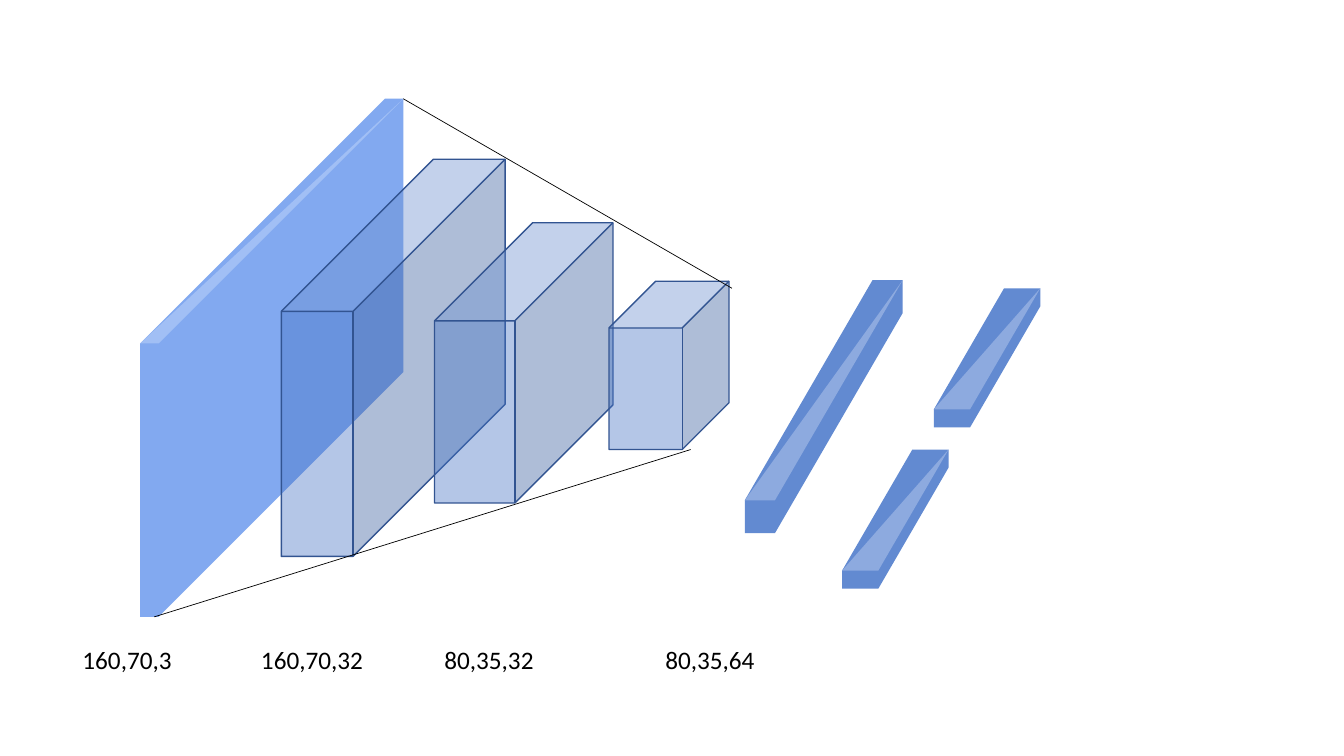
"""Build a slide showing convolution blocks that narrow into dense layers."""
from lxml.etree import SubElement
from pptx import Presentation
from pptx.dml.color import RGBColor
from pptx.enum.shapes import MSO_CONNECTOR, MSO_SHAPE
from pptx.oxml.ns import qn
from pptx.util import Inches, Pt

COLORS = {
    "block": "4472C4", "edge": "325491", "ink": "000000",
    "input": "82A9F0", "input_light": "A1BFF5",
    "dense": "628AD1", "dense_light": "8DAADF",
}
LABEL_TOP = 6.34
LABELS = [
    ("160,70,3", 0.72, 1.1),
    ("160,70,32", 2.49, 1.22),
    ("80,35,32", 4.31, 1.1),
    ("80,35,64", 6.5, 1.1),
]
INPUT_SLAB = (1.39, 0.98, 2.61, 5.14, 0.93)
CONV_BLOCKS = [
    (2.79, 1.58, 2.22, 3.94, 0.68),
    (4.31, 2.21, 1.77, 2.78, 0.55),
    (6.04, 2.79, 1.19, 1.67, 0.39),
]
DENSE_SLABS = [
    (6.82, 2.78, 2.7, 2.51, 0.87),
    (7.97, 4.46, 1.82, 1.38, 0.87),
    (8.88, 2.86, 1.82, 1.38, 0.87),
]
DENSE_SQUEEZE = 0.58
GUIDES = [(1.53, 6.12, 6.85, 4.46), (4, 0.98, 7.26, 2.86)]


def rgb(name):
    return RGBColor.from_string(COLORS[name])


def add_text(page, text, left, top, width, height=0.4, size=18, font="Calibri", color="ink"):
    box = page.shapes.add_textbox(*map(Inches, (left, top, width, height)))
    box.text_frame.word_wrap = False
    span = box.text_frame.paragraphs[0].add_run()
    span.text = text
    span.font.size = Pt(size)
    span.font.name = font
    span.font.color.rgb = rgb(color)


def add_block(page, left, top, width, height, depth):
    block = page.shapes.add_shape(MSO_SHAPE.CUBE, *map(Inches, (left, top, width, height)))
    block.adjustments[0] = depth
    block.shadow.inherit = False
    block.fill.solid()
    block.fill.fore_color.rgb = rgb("block")
    color = block.fill._xPr.find(".//" + qn("a:srgbClr"))
    SubElement(color, qn("a:alpha"), val="40000")
    block.line.color.rgb = rgb("edge")
    block.line.width = Pt(1)


def add_face(page, points, color):
    corners = [(Inches(x), Inches(y)) for x, y in points]
    builder = page.shapes.build_freeform(*corners[0], scale=1.0)
    builder.add_line_segments(corners[1:], close=True)
    face = builder.convert_to_shape()
    face.shadow.inherit = False
    face.fill.solid()
    face.fill.fore_color.rgb = rgb(color)
    face.line.fill.background()


def add_slab(page, left, top, width, height, depth, color, squeeze=1):
    rise = min(width, height) * depth
    start = left + width * (1 - squeeze) / 2
    right, bottom = start + width * squeeze, top + height
    shift = rise * squeeze
    front_right, front_top = right - shift, top + rise
    outline = [
        (start, front_top), (start + shift, top), (right, top),
        (right, bottom - rise), (front_right, bottom), (start, bottom),
    ]
    add_face(page, outline, color)
    highlight = [(start, front_top), (front_right, front_top), (right, top)]
    add_face(page, highlight, color + "_light")


def add_guide(page, *ends):
    guide = page.shapes.add_connector(MSO_CONNECTOR.STRAIGHT, *map(Inches, ends))
    guide.line.color.rgb = rgb("ink")
    guide.line.width = Pt(0.5)
    SubElement(guide._element.spPr, qn("a:effectLst"))


def main():
    deck = Presentation()
    deck.slide_width, deck.slide_height = Inches(13.33), Inches(7.5)
    page = deck.slides.add_slide(deck.slide_layouts[6])
    add_slab(page, *INPUT_SLAB, color="input")
    for text, left, width in LABELS:
        add_text(page, text, left, LABEL_TOP, width)
    for block in CONV_BLOCKS:
        add_block(page, *block)
    for ends in GUIDES:
        add_guide(page, *ends)
    for slab in DENSE_SLABS:
        add_slab(page, *slab, color="dense", squeeze=DENSE_SQUEEZE)
    deck.save("out.pptx")


if __name__ == "__main__":
    main()
